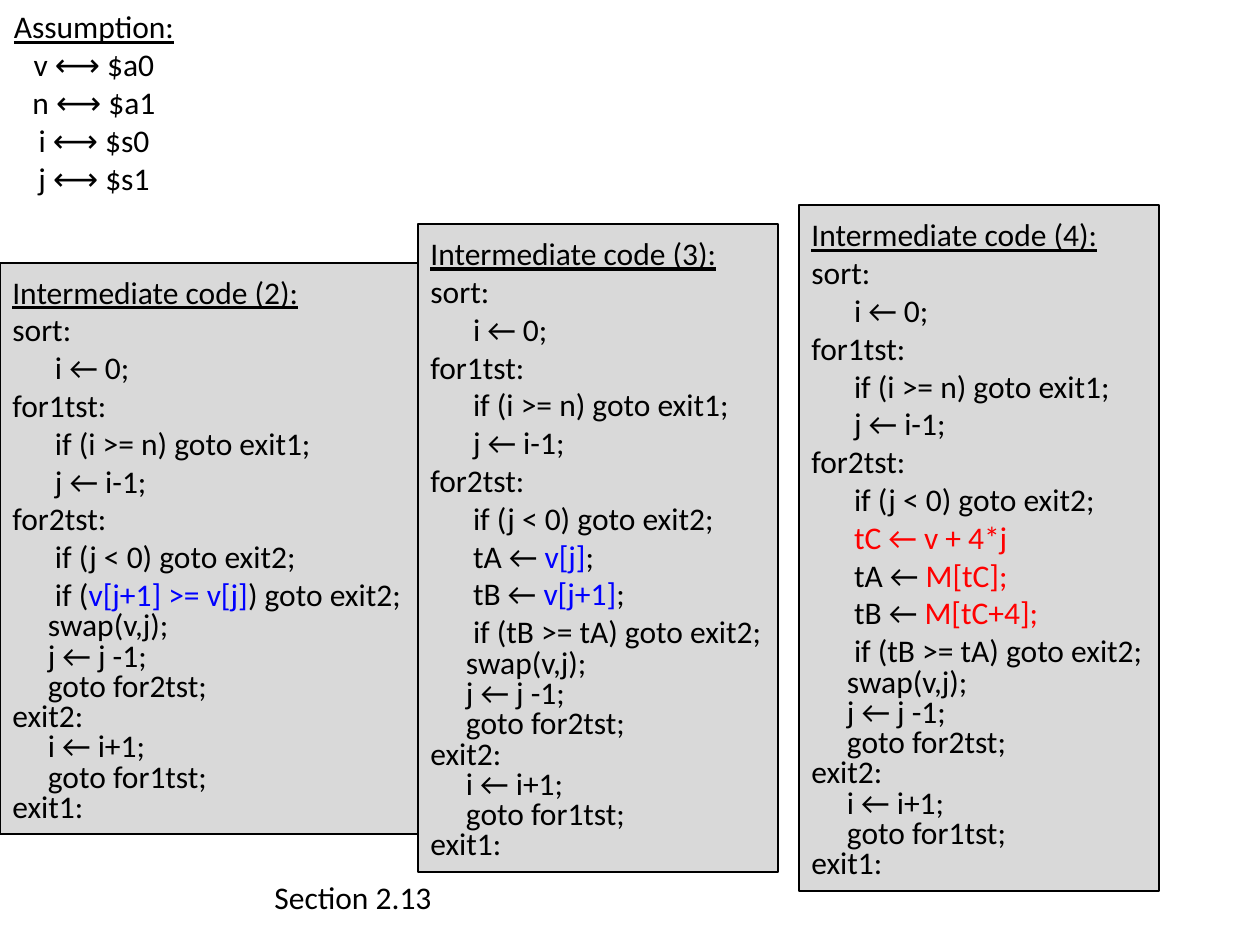
from pptx import Presentation
from pptx.dml.color import RGBColor
from pptx.enum.shapes import MSO_SHAPE
from pptx.enum.text import MSO_ANCHOR, MSO_AUTO_SIZE, PP_ALIGN
from pptx.util import Emu, Pt

RECT = MSO_SHAPE.RECTANGLE
TOP, MIDDLE = MSO_ANCHOR.TOP, MSO_ANCHOR.MIDDLE
FIT = MSO_AUTO_SIZE.SHAPE_TO_FIT_TEXT
LEFT, CENTER = PP_ALIGN.LEFT, PP_ALIGN.CENTER

BLACK, GRAY, BLUE, RED = "000000", "D9D9D9", "0000FF", "FF0000"
FONT, SIZE = "Calibri", 18
TIGHT = 0.8

HEAD = [
    "sort:",
    "      i ← 0;",
    "for1tst:",
    "      if (i >= n) goto exit1;",
    "      j ← i-1;",
    "for2tst:",
    "      if (j < 0) goto exit2;",
]
TEST = "      if (tB >= tA) goto exit2;"
TAIL = [
    "     swap(v,j);",
    "     j ← j -1;",
    "     goto for2tst;",
    "exit2:",
    "     i ← i+1;",
    "     goto for1tst;",
    "exit1:",
]
STAGES = [
    ("Intermediate code (2):", (0, 263, 418, 571), [
        ["      if (", ("v[j+1] >= v[j]", BLUE), ") goto exit2;"],
    ]),
    ("Intermediate code (4):", (799, 205, 360, 686), [
        [("      tC ← v + 4*j", RED)],
        ["      tA ← ", ("M[tC];", RED)],
        ["      tB ← ", ("M[tC+4];", RED)],
        TEST,
    ]),
    ("Intermediate code (3):", (418, 224, 360, 648), [
        ["      tA ← ", ("v[j]", BLUE), ";"],
        ["      tB ←", (" v[j+1]", BLUE), ";"],
        TEST,
    ]),
]
ASSUMPTION = ["Assumption:", "v ⟷ $a0", "n ⟷ $a1", "i ⟷ $s0", "j ⟷ $s1"]


def px(n):
    return Emu(round(n * 914400 / 126))


def rgb(color):
    return RGBColor.from_string(color)


def write(sp, lines, anchor=MIDDLE, align=LEFT, titled=True, tight=0):
    tf = sp.text_frame
    tf.word_wrap = False
    tf.auto_size = FIT
    tf.vertical_anchor = anchor
    for i, line in enumerate(lines):
        p = tf.paragraphs[0] if i == 0 else tf.add_paragraph()
        p.alignment = align
        p.font.name, p.font.size = FONT, Pt(SIZE)
        p.font.color.rgb = rgb(BLACK)
        if i >= len(lines) - tight:
            p.line_spacing = TIGHT
        for part in [line] if isinstance(line, str) else line:
            text, color = (part, BLACK) if isinstance(part, str) else part
            r = p.add_run()
            r.text = text
            r.font.color.rgb = rgb(color)
            if titled and i == 0:
                r.font.underline = True


prs = Presentation()
prs.slide_width, prs.slide_height = px(1260), px(945)
s = prs.slides.add_slide(prs.slide_layouts[6])

for title, box, body in STAGES:
    sp = s.shapes.add_shape(RECT, *map(px, box))
    sp.shadow.inherit = False
    sp.fill.solid()
    sp.fill.fore_color.rgb = rgb(GRAY)
    sp.line.color.rgb = rgb(BLACK)
    sp.line.width = Pt(0.75)
    write(sp, [title] + HEAD + body + TAIL, tight=len(TAIL))

write(s.shapes.add_textbox(*map(px, (0, 0, 188, 204))), ASSUMPTION, align=CENTER)
write(s.shapes.add_textbox(*map(px, (262, 872, 184, 50))), ["Section 2.13"],
      anchor=TOP, titled=False)

prs.save("out.pptx")
